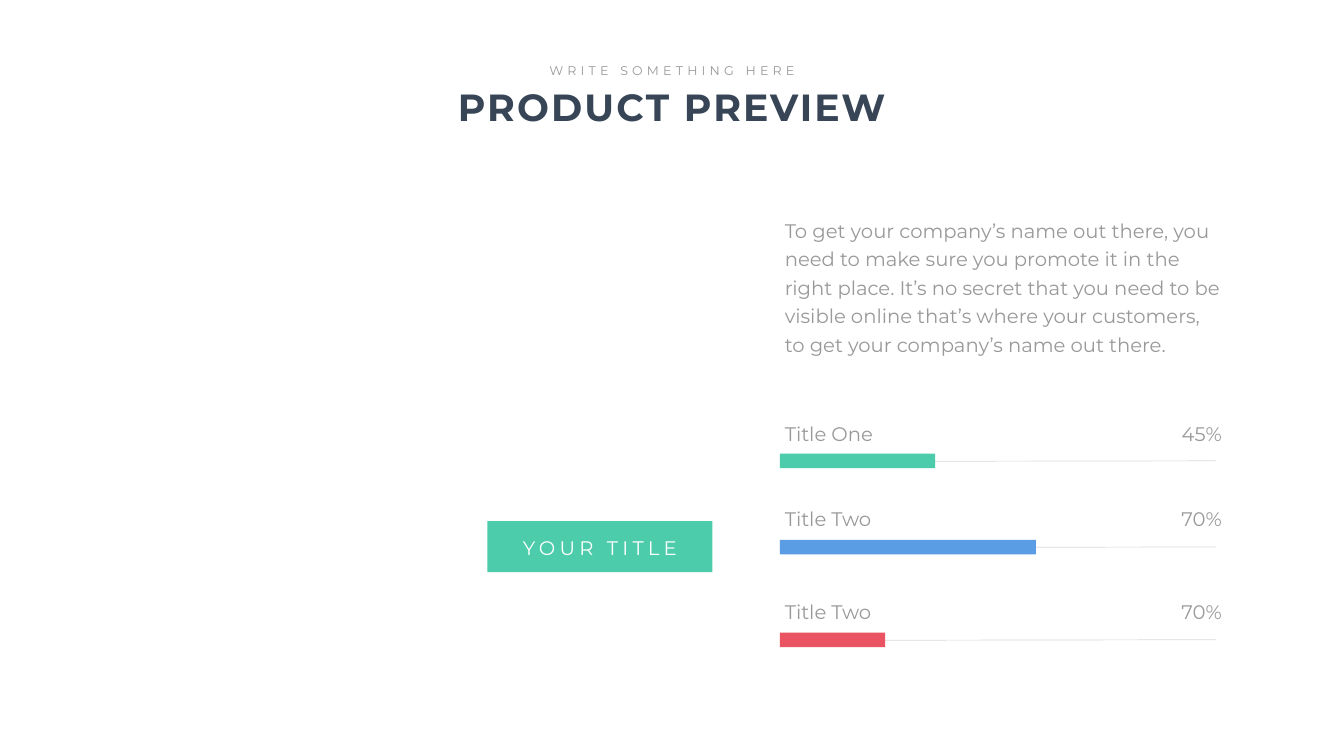
import pptx
import pptx.dml.color
import pptx.enum.shapes
import pptx.enum.text
import pptx.oxml.ns
import pptx.util
from lxml import etree

Pt = pptx.util.Pt
ALIGN = pptx.enum.text.PP_ALIGN

FONT = "Montserrat"
COLORS = {
    "background": "FEFFFE",
    "heading": "374556",
    "body": "999999",
    "track": "D9D9D9",
    "green": "4CCCAB",
    "blue": "5B9DE5",
    "red": "E95362",
}

TITLE = "PRODUCT PREVIEW"
SUBTITLE = "WRITE SOMETHING HERE"
BADGE = "YOUR TITLE"
DESCRIPTION = (
    "To get your company’s name out there, you need to make sure you promote it "
    "in the right place. It’s no secret that you need to be visible online that’s "
    "where your customers, to get your company’s name out there."
)
# label, value, bar color, label top, bar top, bar width
PROGRESS = [
    ("Title One", "45%", "green", 599, 648, 221.8),
    ("Title Two", "70%", "blue", 720.7, 771.1, 365.8),
    ("Title Two", "70%", "red", 853.2, 903.6, 150.5),
]

COLUMN_LEFT = 1113.8
COLUMN_RIGHT = 1752
TRACK_RIGHT = 1736
TRACK_OFFSET = 11.3
TRACK_RISE = 1
BAR_HEIGHT = 20.9
LABEL_WIDTH, VALUE_WIDTH, LABEL_HEIGHT = 165, 101.5, 41


def rgb(name):
    return pptx.dml.color.RGBColor.from_string(COLORS[name])


def fill_text(shape, text, size=28, color="body", align=ALIGN.LEFT,
              bold=False, spacing=0, leading=None, wrap=True):
    """Write one run into the shape; spacing is letter spacing in points."""
    frame = shape.text_frame
    frame.word_wrap = wrap
    frame.auto_size = pptx.enum.text.MSO_AUTO_SIZE.NONE
    frame.vertical_anchor = pptx.enum.text.MSO_ANCHOR.TOP
    paragraph = frame.paragraphs[0]
    paragraph.alignment = align
    if leading:
        paragraph.line_spacing = Pt(leading)
    run = paragraph.add_run()
    run.text = text
    run.font.name = FONT
    run.font.size = Pt(size)
    run.font.bold = bold
    run.font.color.rgb = rgb(color)
    if spacing:
        run.font._element.set("spc", str(spacing * 100))


def add_text(slide, box, text, **style):
    shape = slide.shapes.add_textbox(*map(Pt, box))
    fill_text(shape, text, **style)


def add_block(slide, box, color):
    rectangle = pptx.enum.shapes.MSO_SHAPE.RECTANGLE
    shape = slide.shapes.add_shape(rectangle, *map(Pt, box))
    shape.shadow.inherit = False
    shape.fill.solid()
    shape.fill.fore_color.rgb = rgb(color)
    shape.line.fill.background()


def add_track(slide, top):
    ends = (COLUMN_LEFT, top, TRACK_RIGHT, top - TRACK_RISE)
    straight = pptx.enum.shapes.MSO_CONNECTOR.STRAIGHT
    track = slide.shapes.add_connector(straight, *map(Pt, ends))
    track.line.color.rgb = rgb("track")
    track.line.width = Pt(1)
    etree.SubElement(track._element.spPr, pptx.oxml.ns.qn("a:effectLst"))


def add_progress(slide, label, value, color, label_top, bar_top, bar_width):
    add_text(slide, (COLUMN_LEFT, label_top, LABEL_WIDTH, LABEL_HEIGHT), label)
    add_text(slide, (COLUMN_RIGHT - VALUE_WIDTH, label_top, VALUE_WIDTH, LABEL_HEIGHT),
             value, align=ALIGN.RIGHT)
    add_track(slide, bar_top + TRACK_OFFSET)
    add_block(slide, (COLUMN_LEFT, bar_top, bar_width, BAR_HEIGHT), color)


def main():
    presentation = pptx.Presentation()
    presentation.slide_width = Pt(1919.52)
    presentation.slide_height = Pt(1080)
    slide = presentation.slides.add_slide(presentation.slide_layouts[5])
    slide.background.fill.solid()
    slide.background.fill.fore_color.rgb = rgb("background")

    title = slide.shapes.title
    title.left, title.top, title.width, title.height = map(Pt, (530.6, 115.9, 858.2, 72.7))
    fill_text(title, TITLE, size=54, color="heading", align=ALIGN.CENTER,
              bold=True, spacing=3)
    add_text(slide, (773.3, 86.4, 373, 28.8), SUBTITLE, size=18,
             align=ALIGN.CENTER, spacing=6, wrap=False)

    add_block(slide, (696.2, 744.5, 321.1, 72.7), "green")
    add_text(slide, (650.2, 761.8, 413.3, 41), BADGE, color="background",
             align=ALIGN.CENTER, spacing=6)

    add_text(slide, (COLUMN_LEFT, 301.7, COLUMN_RIGHT - COLUMN_LEFT, 211),
             DESCRIPTION, leading=40.8)
    for row in PROGRESS:
        add_progress(slide, *row)

    presentation.save("out.pptx")


if __name__ == "__main__":
    main()
